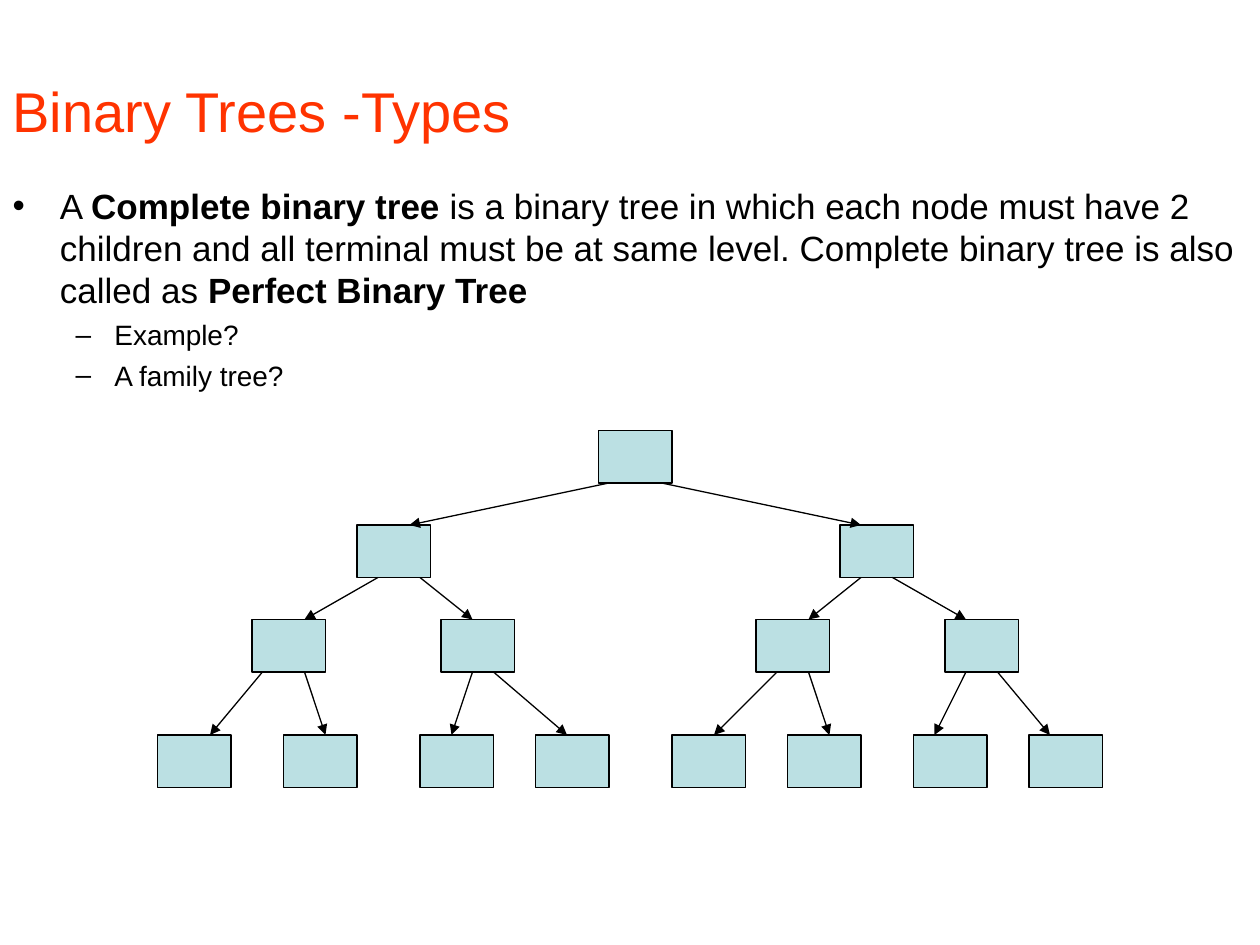
from dataclasses import dataclass
from lxml.etree import SubElement
from pptx import Presentation
from pptx.dml.color import RGBColor
from pptx.enum.shapes import MSO_CONNECTOR, MSO_SHAPE
from pptx.enum.text import MSO_ANCHOR, MSO_AUTO_SIZE, PP_ALIGN
from pptx.oxml.ns import qn
from pptx.util import Inches, Pt

SCALE = Inches(1) // 120  # 120 px to the inch


@dataclass(frozen=True)
class Theme:
    font: str = "Arial"
    ink: str = "000000"
    head: str = "FF3300"
    node: str = "BBE0E3"
    title: int = 32
    main: int = 20
    sub: int = 16
    line: float = 0.75


THEME = Theme()

# Tree levels: top edge and left edges of the nodes
BOX_W, BOX_H = 70, 50
LEVELS = [
    (410, [570]),
    (500, [340, 800]),
    (590, [240, 420, 720, 900]),
    (700, [150, 270, 400, 510, 640, 750, 870, 980]),
]
# Arrows below each level: start x and end x
LINKS = [
    [(580, 390), (630, 820)],
    [(360, 290), (400, 450), (820, 770), (850, 920)],
    [(250, 200), (290, 310), (450, 430), (470, 540),
     (740, 680), (770, 790), (920, 890), (950, 1000)],
]

# List items: level, then text and bold flag of each run
ITEMS = [
    (0, [("A ", False),
         ("Complete binary tree", True),
         (" is a binary tree in which each node must have 2 children and all "
          "terminal must be at same level. Complete binary tree is also "
          "called as ", False),
         ("Perfect Binary Tree", True)]),
    (1, [("Example?", False)]),
    (1, [("A family tree?", False)]),
]
# List styles: bullet, left margin, hanging indent, type size, space before
STYLES = [("•", 45, 45, THEME.main, 0), ("–", 97, 37, THEME.sub, 4)]


def px(n):
    return n * SCALE


def rgb(code):
    return RGBColor.from_string(code)


def place(shape, x, y, w, h):
    shape.left, shape.top, shape.width, shape.height = map(px, (x, y, w, h))


def style(font, size, color, bold=False):
    font.name = THEME.font
    font.size = Pt(size)
    font.bold = bold
    font.color.rgb = rgb(color)


def add_title(slide, text):
    shape = slide.shapes.title
    place(shape, 0, 50, 1200, 110)
    frame = shape.text_frame
    frame.text = text
    frame.auto_size = MSO_AUTO_SIZE.NONE
    frame.vertical_anchor = MSO_ANCHOR.MIDDLE
    para = frame.paragraphs[0]
    para.alignment = PP_ALIGN.LEFT
    style(para.runs[0].font, THEME.title, THEME.head)


def set_bullet(para, mark, left, hang):
    props = para._p.get_or_add_pPr()
    props.set("marL", str(px(left)))
    props.set("indent", str(-px(hang)))
    color = SubElement(props, qn("a:buClr"))
    SubElement(color, qn("a:srgbClr"), val=THEME.ink)
    SubElement(props, qn("a:buFont"), typeface=THEME.font)
    SubElement(props, qn("a:buChar"), char=mark)


def add_list(slide, items):
    shape = slide.placeholders[1]
    place(shape, 0, 170, 1200, 670)
    frame = shape.text_frame
    frame.auto_size = MSO_AUTO_SIZE.NONE
    for i, (level, runs) in enumerate(items):
        para = frame.add_paragraph() if i else frame.paragraphs[0]
        mark, left, hang, size, gap = STYLES[level]
        para.level = level
        set_bullet(para, mark, left, hang)
        para.space_before = Pt(gap)
        for text, bold in runs:
            run = para.add_run()
            run.text = text
            style(run.font, size, THEME.ink, bold)


def add_node(slide, x, y):
    box = slide.shapes.add_shape(
        MSO_SHAPE.RECTANGLE, px(x), px(y), px(BOX_W), px(BOX_H))
    box.shadow.inherit = False
    box.fill.solid()
    box.fill.fore_color.rgb = rgb(THEME.node)
    box.line.color.rgb = rgb(THEME.ink)
    box.line.width = Pt(THEME.line)


def add_arrow(slide, x1, y1, x2, y2):
    link = slide.shapes.add_connector(
        MSO_CONNECTOR.STRAIGHT, px(x1), px(y1), px(x2), px(y2))
    link.line.color.rgb = rgb(THEME.ink)
    link.line.width = Pt(THEME.line)
    SubElement(link.line._get_or_add_ln(), qn("a:tailEnd"), type="triangle")
    SubElement(link._element.spPr, qn("a:effectLst"))


def add_tree(slide):
    # Nodes
    for y, lefts in LEVELS:
        for x in lefts:
            add_node(slide, x, y)
    # Arrows from each level to the next
    for (top, _), (low, _), links in zip(LEVELS, LEVELS[1:], LINKS):
        for x1, x2 in links:
            add_arrow(slide, x1, top + BOX_H, x2, low)


def main():
    deck = Presentation()
    deck.slide_width, deck.slide_height = px(1200), px(900)
    slide = deck.slides.add_slide(deck.slide_layouts[1])
    add_title(slide, "Binary Trees -Types")
    add_list(slide, ITEMS)
    add_tree(slide)
    deck.save("out.pptx")


if __name__ == "__main__":
    main()
